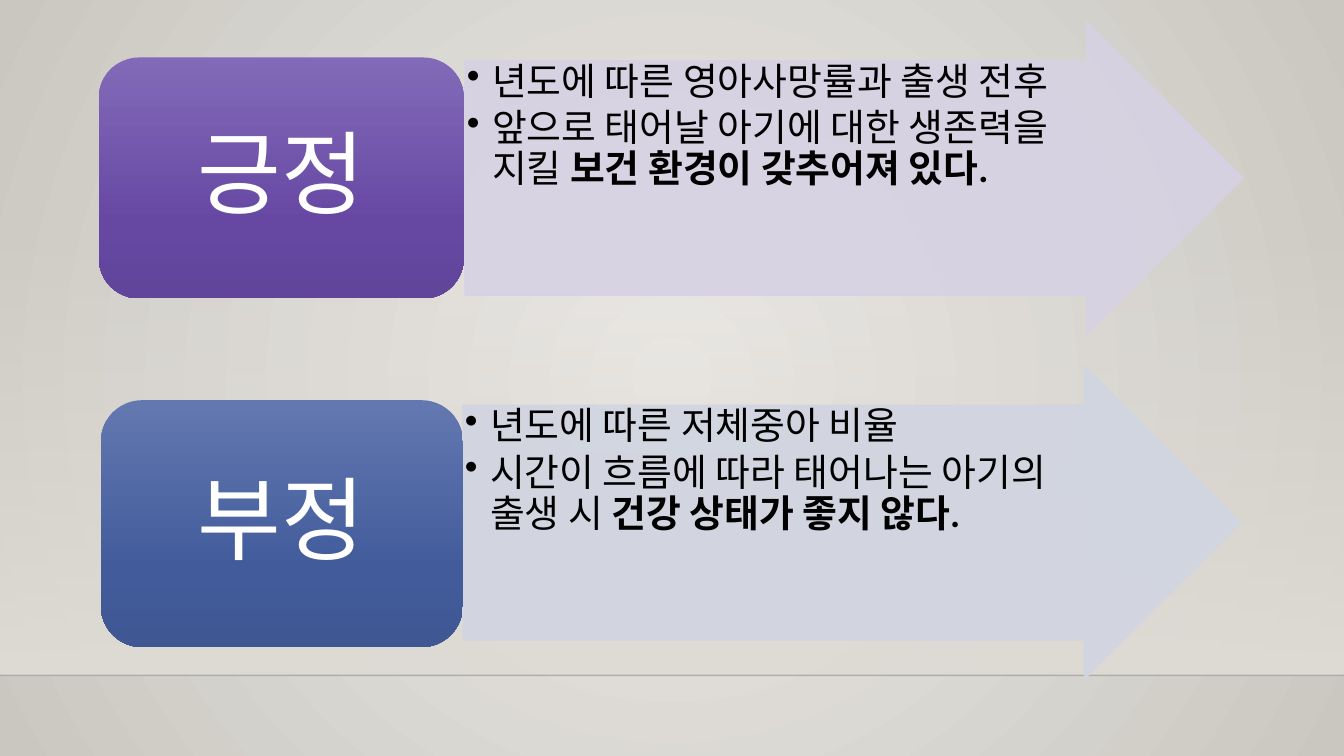
"""Build a slide that sets a positive and a negative finding side by side."""
import pptx
import pptx.dml.color
import pptx.enum.shapes
import pptx.enum.text
import pptx.oxml
import pptx.oxml.ns
import pptx.util

Inches = pptx.util.Inches
Pt = pptx.util.Pt
qn = pptx.oxml.ns.qn
SHAPE = pptx.enum.shapes.MSO_SHAPE
ALIGN = pptx.enum.text.PP_ALIGN
ANCHOR = pptx.enum.text.MSO_ANCHOR

HEX = {
    "light": "ECEAE7", "dark": "CAC7C1", "floor": "DFDBD5", "edge": "000001",
    "white": "FFFFFF", "black": "000000", "lilac": "D7D2E3", "mist": "D1D5E1",
}
PURPLE = [(0, "836AB8", 100), (69, "6648A3", 100), (100, "60459A", 100)]
BLUE = [(0, "6378B0", 100), (69, "425B9B", 100), (100, "3F5793", 100)]
DOWN = '<a:lin ang="5400000" scaled="0"/>'
ROUND = ('<a:path path="circle"><a:fillToRect l="50000" t="50000" '
         'r="50000" b="50000"/></a:path>')
NS = 'xmlns:a="http://schemas.openxmlformats.org/drawingml/2006/main"'

ROWS = [
    {"name": "긍정", "box": (0.98, 0.57, 3.62, 2.39), "arrow": (4.61, 0.21),
     "tint": "lilac", "stops": PURPLE,
     "points": [[("년도에 따른 영아사망률과 출생 전후", False)],
                [("앞으로 태어날 아기에 대한 생존력을 지킬 ", False),
                 ("보건 환경이 갖추어져 있다.", True)]]},
    {"name": "부정", "box": (1, 3.97, 3.59, 2.45), "arrow": (4.59, 3.63),
     "tint": "mist", "stops": BLUE,
     "points": [[("년도에 따른 저체중아 비율", False)],
                [("시간이 흐름에 따라 태어나는 아기의 출생 시 ", False),
                 ("건강 상태가 좋지 않다.", True)]]},
]


def apply(item, values):
    """Set each value of a dict as an attribute."""
    for key, value in values.items():
        setattr(item, key, value)


def rgb(name):
    """Return a named colour."""
    return pptx.dml.color.RGBColor.from_string(HEX[name])


def blend(fill, owner, stops, shade=DOWN):
    """Give a fill's owner element a gradient."""
    fill.solid()
    marks = "".join(
        f'<a:gs pos="{pos * 1000}"><a:srgbClr val="{color}">'
        f'<a:alpha val="{alpha * 1000}"/></a:srgbClr></a:gs>'
        for pos, color, alpha in stops)
    grad = pptx.oxml.parse_xml(
        f'<a:gradFill {NS} rotWithShape="1"><a:gsLst>{marks}</a:gsLst>{shade}</a:gradFill>')
    owner.replace(owner.find(qn("a:solidFill")), grad)


def fade(owner, percent):
    """Set the opacity of the solid colours inside an element."""
    for color in owner.iter(qn("a:srgbClr")):
        color.append(pptx.oxml.parse_xml(f'<a:alpha {NS} val="{percent * 1000}"/>'))


def draw(slide, kind, area):
    """Add a preset shape without shadow or line."""
    shape = slide.shapes.add_shape(kind, *map(Inches, area))
    shape.shadow.inherit = False
    shape.line.fill.background()
    return shape


def write(para, runs, size, color):
    """Fill a paragraph with plain and bold runs."""
    for text, bold in runs:
        run = para.add_run()
        run.text = text
        apply(run.font, {"name": "Calibri", "size": Pt(size), "bold": bold})
        run.font.color.rgb = rgb(color)
        props = run._r.get_or_add_rPr()
        props.set("lang", "ko-KR")
        props.find(qn("a:latin")).addnext(
            pptx.oxml.parse_xml(f'<a:ea {NS} typeface="Calibri"/>'))


def scene(slide):
    """Paint the background, the wall and the floor edge."""
    back = slide.background.fill
    back.solid()
    blend(back, slide.element.find(".//" + qn("p:bgPr")),
          [(0, HEX["light"], 100), (100, HEX["dark"], 100)], ROUND)
    wall = draw(slide, SHAPE.RECTANGLE, (0, 2.21, 13.33, 4.49))
    blend(wall.fill, wall.element.spPr,
          [(0, HEX["floor"], 0), (100, HEX["floor"], 100)])
    edge = slide.shapes.add_connector(
        pptx.enum.shapes.MSO_CONNECTOR.STRAIGHT,
        Inches(0), Inches(6.7), Inches(13.33), Inches(6.7))
    edge.line.color.rgb = rgb("edge")
    edge.line.width = Pt(1)
    fade(edge.line._ln, 20)
    edge.element.spPr.append(pptx.oxml.parse_xml(f"<a:effectLst {NS}/>"))


def arrow(slide, row):
    """Add the wide arrow of a row."""
    shape = draw(slide, SHAPE.RIGHT_ARROW, (*row["arrow"], 7.72, 3.11))
    shape.adjustments[0] = 0.75
    shape.adjustments[1] = 0.5
    shape.fill.solid()
    shape.fill.fore_color.rgb = rgb(row["tint"])
    shape.line.color.rgb = rgb(row["tint"])
    shape.line.width = Pt(0.75)
    fade(shape.element.spPr, 90)


def points(slide, row):
    """Add the bullet points over the arrow's shaft."""
    left, top = row["arrow"]
    area = (left, top + 0.39, 6.55, 2.34)
    frame = slide.shapes.add_textbox(*map(Inches, area)).text_frame
    gap = Inches(0.02)
    apply(frame, {"word_wrap": True, "vertical_anchor": ANCHOR.TOP,
                  "margin_left": gap, "margin_top": gap,
                  "margin_right": gap, "margin_bottom": gap})
    for index, runs in enumerate(row["points"]):
        para = frame.add_paragraph() if index else frame.paragraphs[0]
        apply(para, {"level": 1, "alignment": ALIGN.LEFT,
                     "line_spacing": 0.9, "space_after": Pt(4)})
        props = para._p.get_or_add_pPr()
        props.set("marL", str(Inches(0.25)))
        props.set("indent", str(Inches(-0.25)))
        props.append(pptx.oxml.parse_xml(f'<a:buChar {NS} char="•"/>'))
        write(para, runs, 27, "black")


def label(slide, row):
    """Add the rounded box that names a row."""
    shape = draw(slide, SHAPE.ROUNDED_RECTANGLE, row["box"])
    blend(shape.fill, shape.element.spPr, row["stops"])
    frame = shape.text_frame
    apply(frame, {"word_wrap": True, "vertical_anchor": ANCHOR.MIDDLE,
                  "margin_left": Inches(0.27), "margin_right": Inches(0.27),
                  "margin_top": Inches(0.14), "margin_bottom": Inches(0.14)})
    para = frame.paragraphs[0]
    apply(para, {"alignment": ALIGN.CENTER, "line_spacing": 0.9})
    write(para, [(row["name"], False)], 65, "white")


def main():
    """Build and save the slide."""
    deck = pptx.Presentation()
    apply(deck, {"slide_width": Inches(13.33), "slide_height": Inches(7.5)})
    slide = deck.slides.add_slide(deck.slide_layouts[6])
    scene(slide)
    for row in ROWS:
        arrow(slide, row)
        points(slide, row)
        label(slide, row)
    deck.save("out.pptx")


if __name__ == "__main__":
    main()
